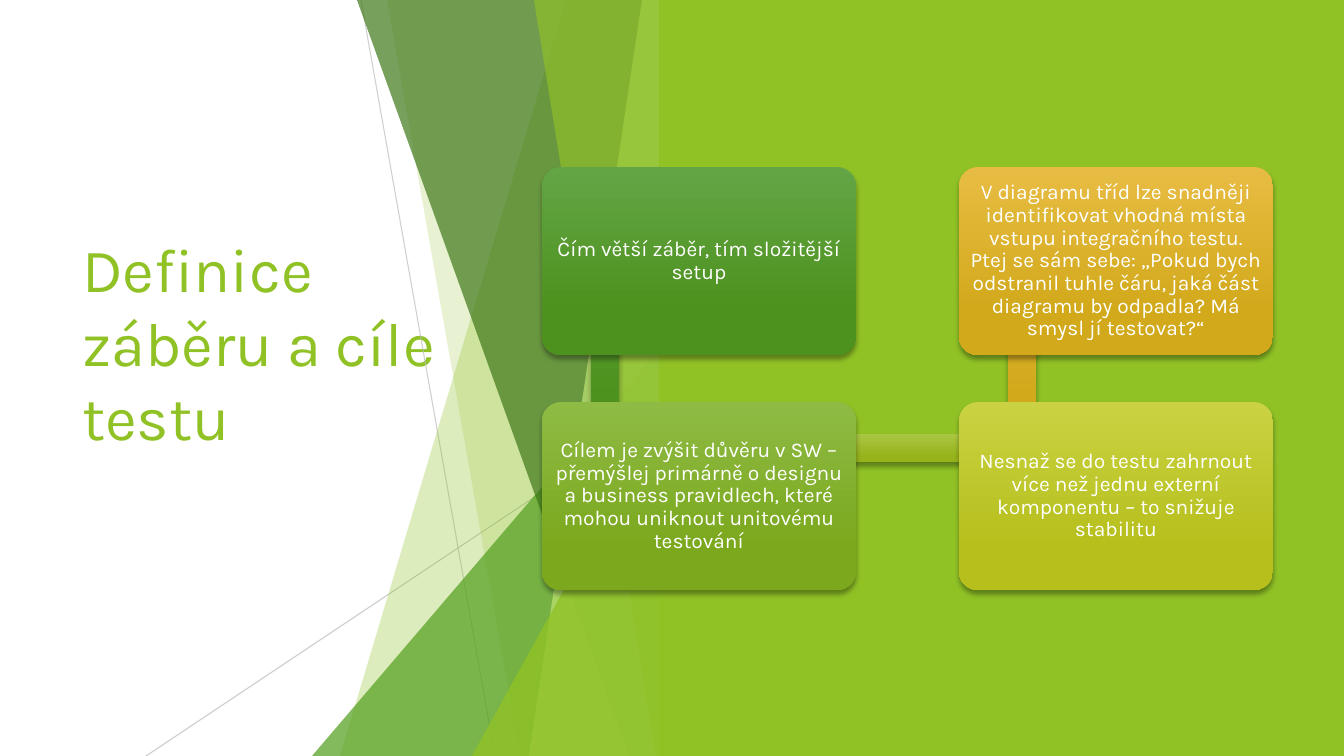
from lxml.etree import SubElement
from pptx import Presentation
from pptx.dml.color import RGBColor
from pptx.enum.shapes import MSO_CONNECTOR, MSO_SHAPE
from pptx.enum.text import MSO_ANCHOR, MSO_AUTO_SIZE, PP_ALIGN
from pptx.oxml.ns import qn
from pptx.util import Pt

WHITE = RGBColor(0xFF, 0xFF, 0xFF)
BLACK = RGBColor(0x00, 0x00, 0x00)
GRAY = RGBColor(0xBF, 0xBF, 0xBF)
LIME = RGBColor(0x90, 0xC2, 0x26)
PALE_LIME = RGBColor(0xC0, 0xE4, 0x74)
GREEN = RGBColor(0x54, 0xA0, 0x21)
DARK_GREEN = RGBColor(0x3F, 0x78, 0x19)
FOREST = (RGBColor(0x63, 0xA5, 0x45), RGBColor(0x4D, 0x92, 0x1E))
LEAF = (RGBColor(0x8E, 0xBB, 0x44), RGBColor(0x7B, 0xA8, 0x1D))
MOSS = (RGBColor(0xAA, 0xC7, 0x44), RGBColor(0x97, 0xB3, 0x1C))
OLIVE = (RGBColor(0xCA, 0xD2, 0x43), RGBColor(0xB6, 0xBF, 0x1B))
GOLD = (RGBColor(0xE7, 0xBC, 0x43), RGBColor(0xD2, 0xA9, 0x1B))

FONT = "Karla"
TITLE = "Definice záběru a cíle testu"
CARDS = [
    (0, 0, FOREST, "Čím větší záběr, tím složitější setup"),
    (0, 1, LEAF, "Cílem je zvýšit důvěru v SW – přemýšlej primárně o designu a business "
                 "pravidlech, které mohou uniknout unitovému testování"),
    (1, 1, OLIVE, "Nesnaž se do testu zahrnout více než jednu externí komponentu – "
                  "to snižuje stabilitu"),
    (1, 0, GOLD, "V diagramu tříd lze snadněji identifikovat vhodná místa vstupu "
                 "integračního testu. Ptej se sám sebe: „Pokud bych odstranil tuhle čáru, "
                 "jaká část diagramu by odpadla? Má smysl jí testovat?“"),
]
THIN_LINES = [((361, 0), (495, 756), 75), ((671, 406), (146, 756), 80)]
FACETS = [
    ("wedge", 566, 340, LIME, 30),
    ("wedge", 387, 520, LIME, 20),
    ("triangle", 312, 336, GREEN, 72),
    ("wedge", 357, 629, DARK_GREEN, 70),
    ("wedge", 642, 529, PALE_LIME, 70),
    ("wedge", 534, 656, LIME, 65),
    ("triangle", 472, 396, LIME, 80),
]

SCALE = 914400 / 100.8
WIDTH, HEIGHT = 1344, 756
FACET_RIGHT = 671
PANEL_LEFT = 659
CARD_LEFT, CARD_TOP, CARD_WIDTH, CARD_HEIGHT = 542, 167, 314, 188
COLUMN_STEP, ROW_STEP = 417, 235
BAR = 28
BAR_INSET = 49
BAR_TOP = 214
ACROSS_TOP = 434


def px(value):
    return round(value * SCALE)


def set_alpha(item, percent):
    color = item.element.xpath(".//a:srgbClr")[0]
    SubElement(color, qn("a:alpha"), val=str(percent * 1000))


def finish(shape, color, alpha=100):
    shape.fill.solid()
    shape.fill.fore_color.rgb = color
    shape.line.fill.background()
    shape.shadow.inherit = False
    if alpha < 100:
        set_alpha(shape, alpha)


def add_preset(page, kind, left, top, width, height):
    return page.shapes.add_shape(kind, px(left), px(top), px(width), px(height))


def add_raised(page, kind, left, top, width, height, colors):
    shape = add_preset(page, kind, left, top, width, height)
    shape.fill.gradient()
    shape.fill.gradient_angle = 270
    for stop, color, position in zip(shape.fill.gradient_stops, colors, (0, 0.78)):
        stop.color.rgb = color
        stop.position = position
    shape.line.fill.background()
    shape.shadow.inherit = False
    effects = shape.element.spPr.find(qn("a:effectLst"))
    shadow = SubElement(effects, qn("a:outerShdw"), blurRad=str(Pt(4)), dist=str(Pt(3)),
                        dir="5400000", algn="ctr", rotWithShape="0")
    color = SubElement(shadow, qn("a:srgbClr"), val=str(BLACK))
    SubElement(color, qn("a:alpha"), val="35000")
    return shape


def write(frame, text, size, color, align):
    frame.word_wrap = True
    frame.auto_size = MSO_AUTO_SIZE.NONE
    frame.vertical_anchor = MSO_ANCHOR.MIDDLE
    para = frame.paragraphs[0]
    para.text = text
    para.alignment = align
    para.font.name = FONT
    para.font.size = Pt(size)
    para.font.color.rgb = color
    return para


def add_title(page):
    title = page.shapes.title
    title.left, title.top, title.width, title.height = px(72), px(152), px(391), px(380)
    write(title.text_frame, TITLE, 44, LIME, PP_ALIGN.LEFT)


def add_backdrop(page):
    for start, end, alpha in THIN_LINES:
        line = page.shapes.add_connector(MSO_CONNECTOR.STRAIGHT, *map(px, start + end))
        line.line.color.rgb = GRAY
        line.line.width = Pt(0.75)
        set_alpha(line, alpha)
        SubElement(line.element.spPr, qn("a:effectLst"))
    for kind, first, second, color, alpha in FACETS:
        if kind == "wedge":
            builder = page.shapes.build_freeform(first, 0, scale=SCALE)
            builder.add_line_segments(
                [(FACET_RIGHT, 0), (FACET_RIGHT, HEIGHT), (second, HEIGHT)], close=True)
            facet = builder.convert_to_shape()
        else:
            facet = add_preset(page, MSO_SHAPE.ISOSCELES_TRIANGLE, first, second,
                               FACET_RIGHT - first, HEIGHT - second)
            facet.adjustments[0] = 1
        finish(facet, color, alpha)
    panel = add_preset(page, MSO_SHAPE.RECTANGLE, PANEL_LEFT, 0, WIDTH - PANEL_LEFT, HEIGHT)
    finish(panel, LIME)


def add_flow(page):
    bar_left = CARD_LEFT + BAR_INSET
    bars = [
        (bar_left, BAR_TOP, BAR, ROW_STEP, FOREST),
        (bar_left + BAR // 2, ACROSS_TOP, COLUMN_STEP, BAR, MOSS),
        (bar_left + COLUMN_STEP, BAR_TOP, BAR, ROW_STEP, GOLD),
    ]
    for bar in bars:
        add_raised(page, MSO_SHAPE.RECTANGLE, *bar)
    for column, row, colors, text in CARDS:
        card = add_raised(page, MSO_SHAPE.ROUNDED_RECTANGLE,
                          CARD_LEFT + column * COLUMN_STEP, CARD_TOP + row * ROW_STEP,
                          CARD_WIDTH, CARD_HEIGHT, colors)
        card.adjustments[0] = 0.1
        frame = card.text_frame
        frame.margin_left = frame.margin_right = px(6)
        frame.margin_top = frame.margin_bottom = px(6)
        para = write(frame, text, 15, WHITE, PP_ALIGN.CENTER)
        para.line_spacing = 0.9


def main():
    deck = Presentation()
    deck.slide_width, deck.slide_height = px(WIDTH), px(HEIGHT)
    page = deck.slides.add_slide(deck.slide_layouts[5])
    add_title(page)
    add_backdrop(page)
    add_flow(page)
    deck.save("out.pptx")


if __name__ == "__main__":
    main()
